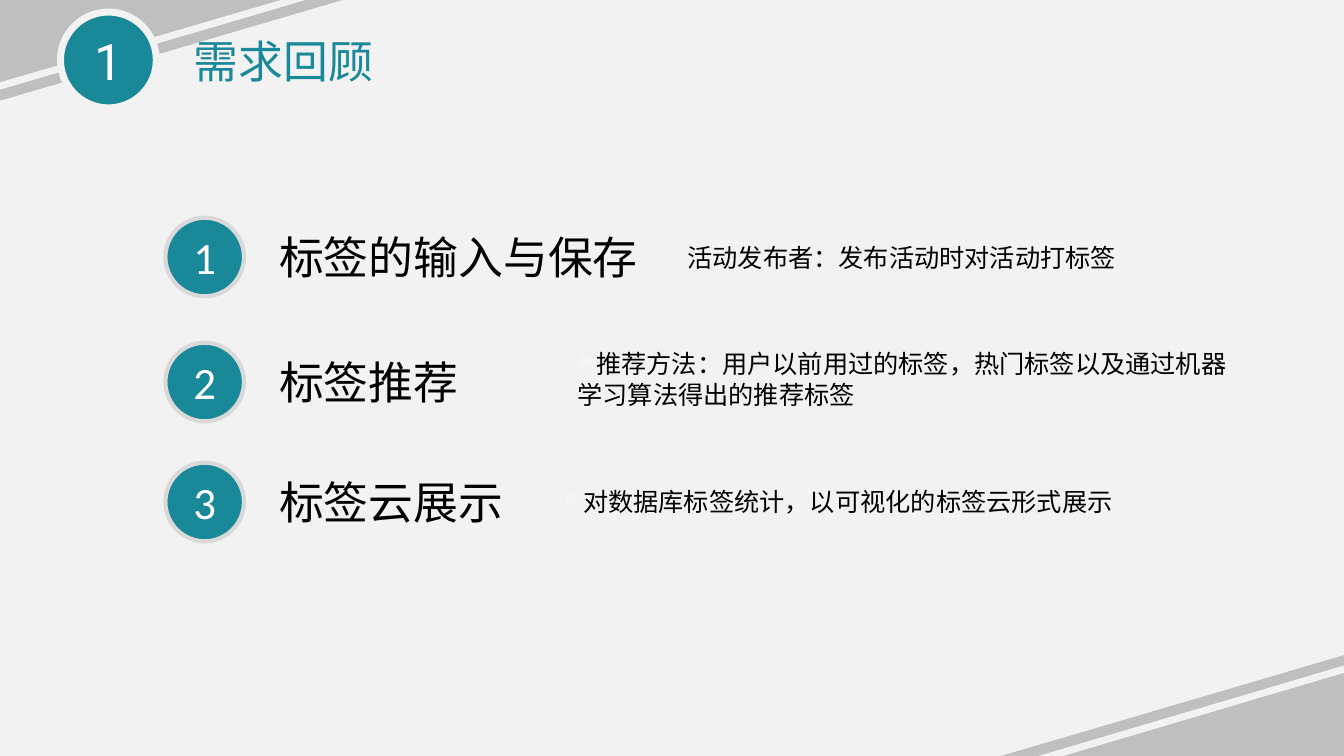
from dataclasses import dataclass
from lxml import etree
from pptx import Presentation
from pptx.dml.color import RGBColor
from pptx.enum.shapes import MSO_CONNECTOR, MSO_SHAPE
from pptx.enum.text import MSO_ANCHOR, MSO_AUTO_SIZE, PP_ALIGN
from pptx.oxml.ns import qn
from pptx.util import Inches, Pt

OVAL, WEDGE = MSO_SHAPE.OVAL, MSO_SHAPE.RIGHT_TRIANGLE
STRAIGHT = MSO_CONNECTOR.STRAIGHT
LEFT, CENTER = PP_ALIGN.LEFT, PP_ALIGN.CENTER
TOP, MIDDLE = MSO_ANCHOR.TOP, MSO_ANCHOR.MIDDLE
FIXED = MSO_AUTO_SIZE.NONE

WIDE, HIGH = 13.33, 7.5
WEDGE_W, WEDGE_H = 3.4, 1
ROW_X, ROW_H = 1.64, 0.78
LABEL_X = 2.67


@dataclass(frozen=True)
class Theme:
    back: str = "F2F2F2"
    gray: str = "BFBFBF"
    ring: str = "D9D9D9"
    teal: str = "198898"
    white: str = "FFFFFF"
    black: str = "000000"
    mark: str = "F5F5F5"
    font: str = "Calibri"
    badge: str = "Roboto"
    top: int = 36
    head: int = 32
    note: int = 18


THEME = Theme()

# Row top, label, label width, note, note box, bulleted
ROWS = [
    (2.16, "标签的输入与保存", 3.79,
     "活动发布者：发布活动时对活动打标签", (6.72, 2.35, 4.49, 0.4), False),
    (3.4, "标签推荐", 2,
     "推荐方法：用户以前用过的标签，热门标签以及通过机器学习算法得出的推荐标签",
     (5.63, 3.41, 6.67, 0.71), True),
    (4.59, "标签云展示", 2.45,
     "对数据库标签统计，以可视化的标签云形式展示", (5.5, 4.78, 6.67, 0.4), True),
]


def rgb(code):
    return RGBColor.from_string(code)


def inches(box):
    return [Inches(n) for n in box]


def add_mark(para):
    """Give the paragraph a pale inline triangle bullet."""
    props = para._p.get_or_add_pPr()
    props.set("marL", "0")
    props.set("indent", "0")
    color = etree.SubElement(props, qn("a:buClr"))
    etree.SubElement(color, qn("a:srgbClr"), val=THEME.mark)
    etree.SubElement(props, qn("a:buSzPct"), val="80000")
    etree.SubElement(props, qn("a:buChar"), char="▶")


def write(shape, text, size=THEME.head, color=THEME.black, font=THEME.font,
          align=LEFT, anchor=TOP, wrap=True, mark=False):
    frame = shape.text_frame
    frame.word_wrap = wrap
    frame.auto_size = FIXED
    frame.vertical_anchor = anchor
    para = frame.paragraphs[0]
    para.alignment = align
    if mark:
        add_mark(para)
    run = para.add_run()
    run.text = text
    run.font.size = Pt(size)
    run.font.name = font
    run.font.color.rgb = rgb(color)


def add_text(slide, box, text, **form):
    write(slide.shapes.add_textbox(*inches(box)), text, **form)


def add_form(slide, kind, box, fill):
    form = slide.shapes.add_shape(kind, *inches(box))
    form.shadow.inherit = False
    form.fill.solid()
    form.fill.fore_color.rgb = rgb(fill)
    form.line.fill.background()
    return form


def add_badge(slide, box, text, ring, width, **form):
    disc = add_form(slide, OVAL, box, THEME.teal)
    disc.line.color.rgb = rgb(ring)
    disc.line.width = Pt(width)
    write(disc, text, color=THEME.white, align=CENTER, anchor=MIDDLE, **form)


def add_corner(slide, box, flip, start, end):
    """Draw a wedge cut by a stripe whose ends are offsets from the box."""
    x, y = box[:2]
    wedge = add_form(slide, WEDGE, box, THEME.gray)
    wedge.element.spPr.find(qn("a:xfrm")).set(flip, "1")
    ends = (x + start[0], y + start[1], x + end[0], y + end[1])
    line = slide.shapes.add_connector(STRAIGHT, *inches(ends))
    line.line.color.rgb = rgb(THEME.back)
    line.line.width = Pt(5)
    etree.SubElement(line._element.spPr, qn("a:effectLst"))


def add_head(slide, box, number, text):
    x, y, _, high = box
    add_badge(slide, (x, y, high, high), number, THEME.back, 5,
              size=THEME.top, font=THEME.badge)
    title = slide.shapes.title
    title.element.getparent().append(title.element)
    title.left, title.top, title.width, title.height = inches(
        (x + 1.22, y + 0.16, 5.69, 0.64))
    write(title, text, color=THEME.teal)


def add_row(slide, number, top, label, width, note, area, mark):
    add_badge(slide, (ROW_X, top, ROW_H, ROW_H), str(number), THEME.ring, 3)
    add_text(slide, (LABEL_X, top + 0.07, width, 0.64), label, wrap=False)
    add_text(slide, area, note, size=THEME.note, wrap=mark, mark=mark)


def main():
    deck = Presentation()
    deck.slide_width, deck.slide_height = inches((WIDE, HIGH))
    slide = deck.slides.add_slide(deck.slide_layouts[5])
    slide.background.fill.solid()
    slide.background.fill.fore_color.rgb = rgb(THEME.back)
    add_corner(slide, (0, 0, WEDGE_W, WEDGE_H), "flipV",
               (4.51, -0.47), (-0.16, 0.9))
    add_corner(slide, (WIDE - WEDGE_W, HIGH - WEDGE_H, WEDGE_W, WEDGE_H),
               "flipH", (-0.15, 1.19), (4.51, -0.19))
    add_head(slide, (0.6, 0.12, 6.91, 0.95), "1", "需求回顾")
    for number, row in enumerate(ROWS, 1):
        add_row(slide, number, *row)
    deck.save("out.pptx")


if __name__ == "__main__":
    main()
